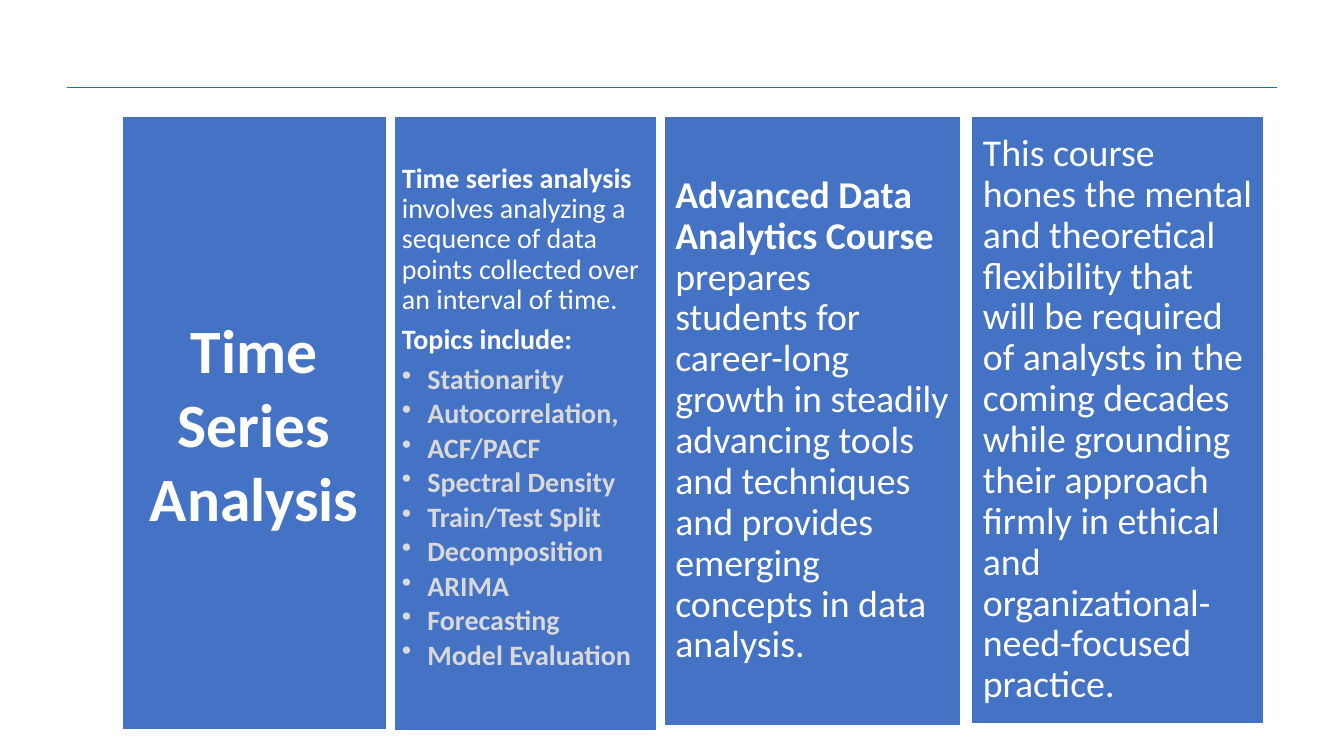
from lxml import etree
from pptx import Presentation
from pptx import util as u
from pptx.dml.color import RGBColor
from pptx.enum import shapes, text
from pptx.oxml.ns import qn

WHITE, BLUE, GREY, RULE = "FFFFFF", "4472C4", "D9D9D9", "0078D2"
PANEL_TOP = 2.92


def color(hex_string):
    return RGBColor.from_string(hex_string)


def style_panel(panel, left, width, height, inset, anchor):
    """Place a blue panel (in cm) and set up its text frame."""
    panel.left, panel.top = u.Cm(left), u.Cm(PANEL_TOP)
    panel.width, panel.height = u.Cm(width), u.Cm(height)
    panel.fill.solid()
    panel.fill.fore_color.rgb = color(BLUE)
    panel.line.color.rgb = color(WHITE)
    panel.line.width = u.Pt(1)
    frame = panel.text_frame
    frame.word_wrap = True
    frame.auto_size = text.MSO_AUTO_SIZE.NONE
    frame.vertical_anchor = anchor
    frame.margin_left = frame.margin_right = u.Cm(inset)
    frame.margin_top = frame.margin_bottom = u.Cm(inset)
    return frame


prs = Presentation()
prs.slide_width, prs.slide_height = u.Cm(33.87), u.Cm(19.05)
slide = prs.slides.add_slide(prs.slide_layouts[5])

# Header rule
rule = slide.shapes.add_connector(
    shapes.MSO_CONNECTOR.STRAIGHT, u.Cm(1.68), u.Cm(2.21), u.Cm(32.18), u.Cm(2.21))
rule.line.color.rgb = color(RULE)
rule.line.width = u.Pt(0.5)
etree.SubElement(rule._element.spPr, qn("a:effectLst"))

# Title panel
title = slide.shapes.title
heading = style_panel(title, 3.07, 6.68, 15.47, 0.46, text.MSO_ANCHOR.MIDDLE)
heading.text = "Time Series Analysis"
heading.paragraphs[0].alignment = text.PP_ALIGN.CENTER
heading.paragraphs[0].font.size = u.Pt(44)
heading.paragraphs[0].font.bold = True
heading.paragraphs[0].font.name = "Calibri"
heading.paragraphs[0].font.color.rgb = color(WHITE)

# Text panels: left, width, height, inset, anchor, size, paragraphs (bold lead, rest, bulleted)
topics = ["Stationarity", "Autocorrelation,", "ACF/PACF", "Spectral Density",
          "Train/Test Split", "Decomposition", "ARIMA", "Forecasting", "Model Evaluation"]
panels = [
    (9.93, 6.63, 15.49, 0.2, text.MSO_ANCHOR.TOP, 20, [
        ("Time series analysis ", "involves analyzing a sequence of data points "
         "collected over an interval of time.", False),
        ("Topics include:", "", False),
        *[(topic, "", True) for topic in topics]]),
    (16.74, 7.47, 15.37, 0.28, text.MSO_ANCHOR.MIDDLE, 27, [
        ("Advanced Data Analytics Course ", "prepares students for career-long growth in "
         "steadily advancing tools and techniques and provides emerging concepts in data "
         "analysis.", False)]),
    (24.49, 7.37, 15.32, 0.28, text.MSO_ANCHOR.MIDDLE, 27, [
        ("", "This course hones the mental and theoretical flexibility that will be required "
         "of analysts in the coming decades while grounding their approach firmly in ethical "
         "and organizational-need-focused practice.", False)]),
]

for left, width, height, inset, anchor, size, paragraphs in panels:
    panel = slide.shapes.add_shape(shapes.MSO_SHAPE.RECTANGLE, 0, 0, 0, 0)
    panel.shadow.inherit = False
    frame = style_panel(panel, left, width, height, inset, anchor)
    if anchor == text.MSO_ANCHOR.TOP:
        frame.margin_top = u.Cm(1.22)
    for index, (lead, rest, bulleted) in enumerate(paragraphs):
        paragraph = frame.paragraphs[0] if index == 0 else frame.add_paragraph()
        paragraph.alignment = text.PP_ALIGN.LEFT
        paragraph.line_spacing = 0.9
        paragraph.space_after = u.Pt(size * (0.15 if bulleted else 0.35))
        if bulleted:
            paragraph.level = 1
            properties = paragraph._p.get_or_add_pPr()
            properties.set("marL", str(u.Cm(0.64)))
            properties.set("indent", str(-u.Cm(0.64)))
            etree.SubElement(properties, qn("a:buChar")).set("char", "•")
        for words, bold in ((lead, True), (rest, False)):
            if words:
                run = paragraph.add_run()
                run.text = words
                run.font.name = "Calibri"
                run.font.size = u.Pt(size)
                run.font.bold = bold
                run.font.color.rgb = color(GREY if bulleted else WHITE)

prs.save("out.pptx")
